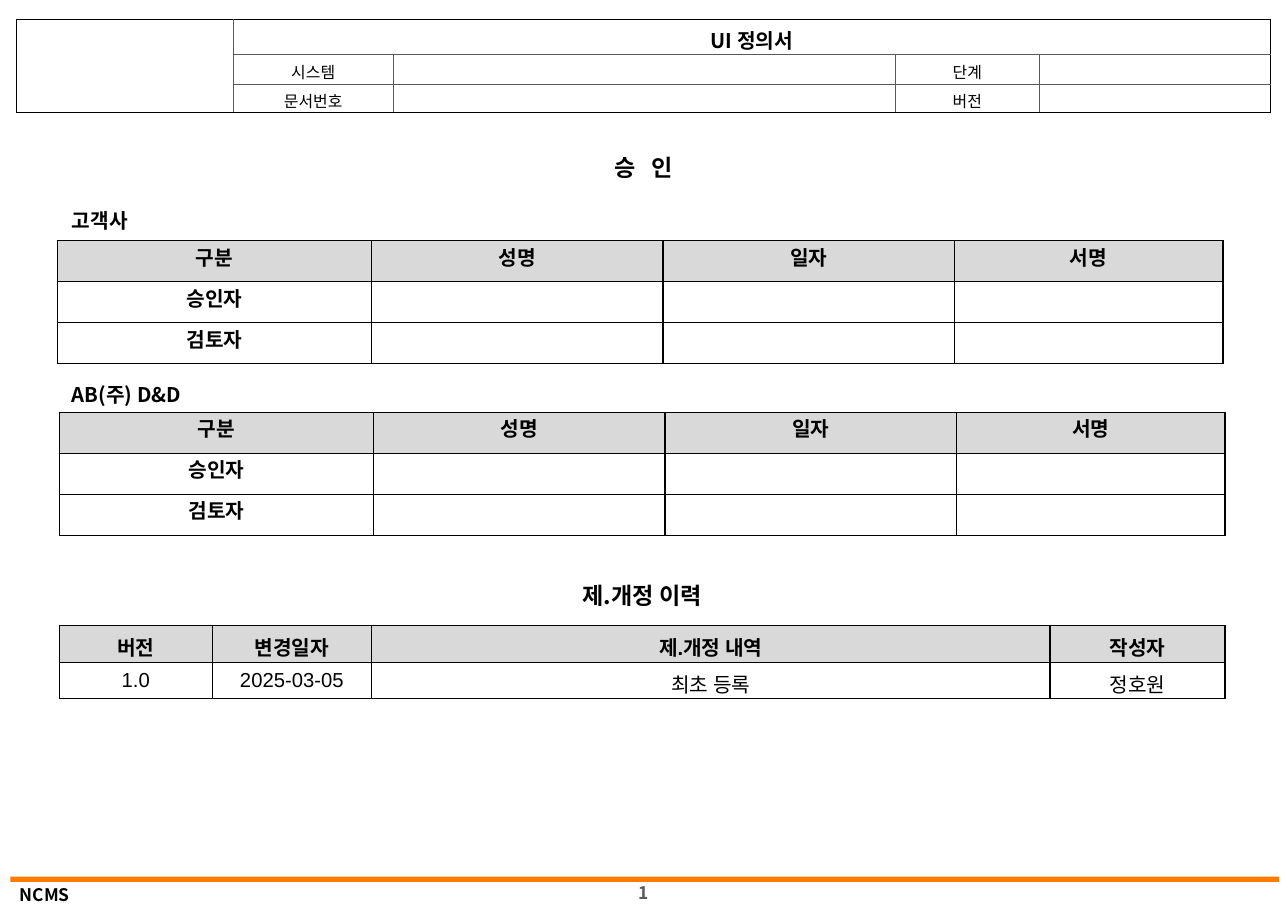
from lxml import etree
from pptx import Presentation
from pptx import util as u
from pptx.dml.color import RGBColor
from pptx.enum import shapes, text
from pptx.oxml.ns import qn

COLORS = {"ink": "000000", "grid": "595959", "head": "D9D9D9", "bar": "FF7A00"}
KOREAN = "Noto Sans CJK KR"
LEFT, CENTER = text.PP_ALIGN.LEFT, text.PP_ALIGN.CENTER
TOP, MIDDLE = text.MSO_ANCHOR.TOP, text.MSO_ANCHOR.MIDDLE


def write(frame, words, size, align=CENTER, bold=True, font=KOREAN, color="ink"):
    """Fill the first paragraph; empty words only set its line height."""
    paragraph = frame.paragraphs[0]
    paragraph.alignment = align
    if not words:
        paragraph._p.get_or_add_endParaRPr().set("sz", str(size * 100))
        return paragraph
    run = paragraph.add_run()
    run.text = words
    formats = {"size": u.Pt(size), "bold": bold, "name": font}
    for name, value in formats.items():
        setattr(run.font, name, value)
    run.font.color.rgb = RGBColor.from_string(COLORS[color])
    etree.SubElement(run._r.get_or_add_rPr(), qn("a:ea"), typeface=KOREAN)
    return paragraph


def add_grid(left, top, widths, heights, margins, anchor, inner, merges=()):
    """Add a plain table with a black 1 pt frame and the given inner (colour, points)."""
    table = slide.shapes.add_table(
        len(heights), len(widths), u.Inches(left), u.Inches(top),
        u.Inches(sum(widths)), u.Inches(sum(heights))).table
    table.first_row = table.horz_banding = False
    for column, width in zip(table.columns, widths):
        column.width = u.Inches(width)
    for row, height in zip(table.rows, heights):
        row.height = u.Inches(height)
    for first, last in merges:
        table.cell(*first).merge(table.cell(*last))
    for r in range(len(heights)):
        for c in range(len(widths)):
            cell = table.cell(r, c)
            cell.vertical_anchor = anchor
            for side, margin in zip(("left", "top", "right", "bottom"), margins):
                setattr(cell, f"margin_{side}", u.Inches(margin))
            outer = {"lnL": c == 0, "lnR": c + cell.span_width == len(widths),
                     "lnT": r == 0, "lnB": r + cell.span_height == len(heights)}
            for edge, on_frame in outer.items():
                color, points = ("ink", 1) if on_frame else inner
                line = etree.SubElement(cell._tc.get_or_add_tcPr(), qn(f"a:{edge}"),
                                        w=str(u.Pt(points)))
                fill = etree.SubElement(line, qn("a:solidFill"))
                etree.SubElement(fill, qn("a:srgbClr"), val=COLORS[color])
            cell.fill.background()
    return table


prs = Presentation()
prs.slide_width = u.Inches(12 + 3 / 8)
prs.slide_height = u.Inches(8.75)
title_only = prs.slide_layouts[5]
slide = prs.slides.add_slide(title_only)

# Document header
header = add_grid(0.16, 0.19, [2.08, 1.54, 4.82, 1.39, 2.22], [0.33, 0.28, 0.28],
                  (0.09, 0.05, 0.09, 0), TOP, ("grid", 0.25),
                  merges=[((0, 0), (2, 0)), ((0, 1), (0, 4))])
header_rows = [["", "UI 정의서", "", "", ""],
               ["", "시스템", "", "단계", ""],
               ["", "문서번호", "", "버전", ""]]
for r, labels in enumerate(header_rows):
    for c, label in enumerate(labels):
        write(header.cell(r, c).text_frame, label, 14 if r == 0 and label else 11, bold=r == 0)

# Headings and footer
approval_title = slide.shapes.title
captions = [
    (approval_title, (0.61, 1.41, 11.15, 0.39), "승 인", 16, CENTER, TOP, "ink"),
    (None, (0.57, 5.52, 11.2, 0.39), "제.개정 이력", 16, CENTER, TOP, "ink"),
    (None, (0.57, 1.94, 1.54, 0.35), "고객사", 14, LEFT, TOP, "ink"),
    (None, (0.57, 3.61, 1.54, 0.35), "AB(주) D&D", 14, LEFT, TOP, "ink"),
    (None, (4.86, 8.44, 2.65, 0.27), "1", 12, CENTER, MIDDLE, "grid"),
    (None, (0.07, 8.43, 5.26, 0.32), "NCMS", 12, LEFT, TOP, "ink"),
]
for holder, place, words, size, align, anchor, color in captions:
    box = [u.Inches(value) for value in place]
    caption = holder or slide.shapes.add_textbox(*box)
    caption.left, caption.top, caption.width, caption.height = box
    frame_format = {
        "word_wrap": True, "auto_size": text.MSO_AUTO_SIZE.NONE, "vertical_anchor": anchor,
        "margin_left": u.Inches(0.12), "margin_right": u.Inches(0.12),
        "margin_top": u.Inches(0.06), "margin_bottom": u.Inches(0.06)}
    for name, value in frame_format.items():
        setattr(caption.text_frame, name, value)
    write(caption.text_frame, words, size, align, color=color)
# Letter spacing widens the gap in the approval title
approval_title.text_frame.paragraphs[0].runs[0]._r.get_or_add_rPr().set("spc", "360")

footer_bar = slide.shapes.add_shape(shapes.MSO_SHAPE.RECTANGLE, u.Inches(0.1), u.Inches(8.42),
                                    u.Inches(12.19), u.Inches(0.05))
footer_bar.shadow.inherit = False
footer_bar.fill.solid()
footer_bar.fill.fore_color.rgb = RGBColor.from_string(COLORS["bar"])
footer_bar.line.fill.background()

# Approval tables and revision history
approval_rows = [["구분", "성명", "일자", "서명"],
                 ["승인자", "", "", ""],
                 ["검토자", "", "", ""]]
history_rows = [["버전", "변경일자", "제.개정 내역", "작성자"],
                ["1.0", "2025-03-05", "최초 등록", "정호원"]]
approval_widths, history_widths = [3.02, 2.8, 2.8, 2.58], [1.47, 1.53, 6.52, 1.68]
approval_margins, history_margins = (0.09, 0, 0.09, 0), (0.11, 0.06, 0.11, 0)
approval_height = 1.18 / len(approval_rows)
body_tables = [
    (0.55, 2.31, approval_widths, approval_height, approval_margins, approval_rows,
     "Times New Roman", 14),
    (0.57, 3.96, approval_widths, approval_height, approval_margins, approval_rows,
     "Times New Roman", 14),
    (0.57, 6.01, history_widths, 0.35, history_margins, history_rows, "Arial", None),
]
for left, top, widths, height, margins, rows, font, spacing in body_tables:
    table = add_grid(left, top, widths, [height] * len(rows), margins, MIDDLE, ("ink", 1))
    for r, labels in enumerate(rows):
        for c, label in enumerate(labels):
            cell = table.cell(r, c)
            bold = r == 0 or rows is approval_rows
            paragraph = write(cell.text_frame, label, 14, bold=bold, font=font)
            if spacing:
                paragraph.line_spacing = u.Pt(spacing)
            if label.isascii():
                cell.margin_bottom = cell.margin_top
            if r == 0:
                cell.fill.solid()
                cell.fill.fore_color.rgb = RGBColor.from_string(COLORS["head"])

prs.save("out.pptx")
